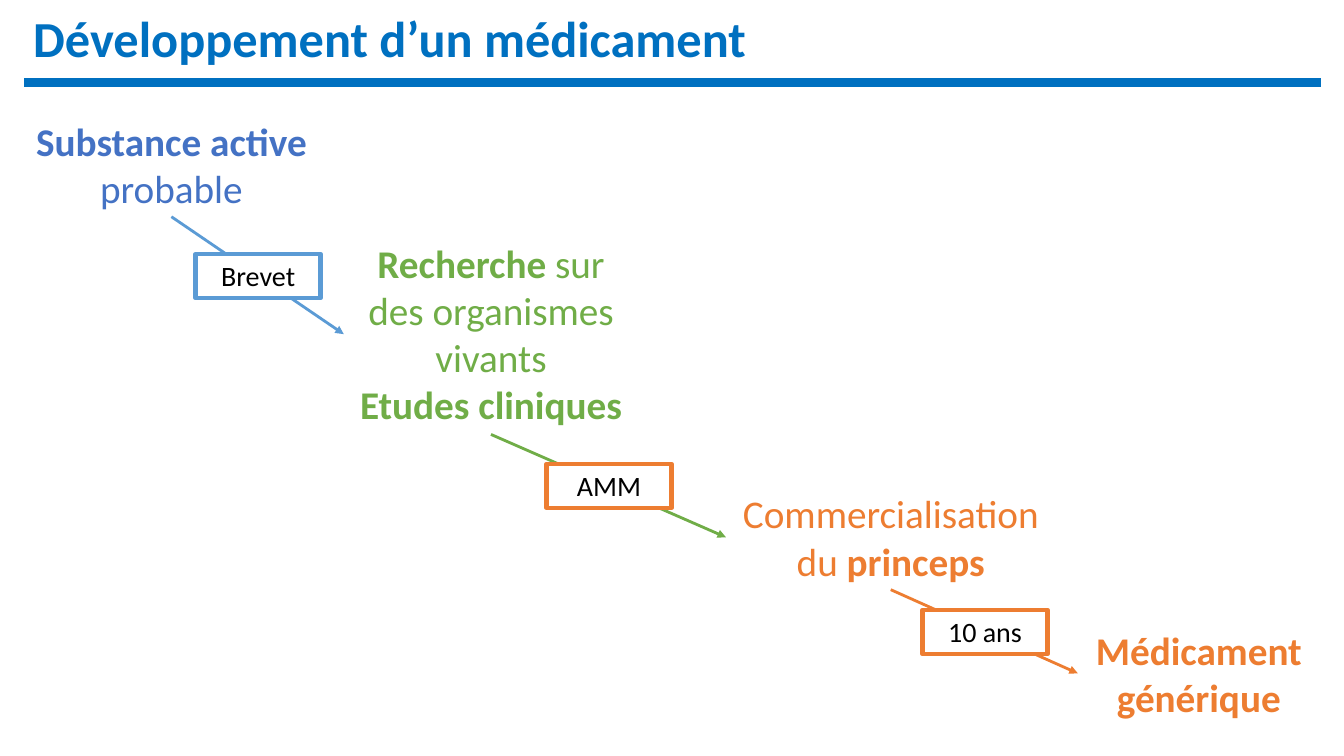
from lxml.etree import SubElement
from pptx import Presentation
from pptx.dml.color import RGBColor
from pptx.enum.shapes import MSO_CONNECTOR as Link, MSO_SHAPE as Shape
from pptx.enum.text import MSO_ANCHOR as Anchor, PP_ALIGN as Align
from pptx.oxml.ns import qn
from pptx.util import Inches, Pt

NAVY, BLUE, SKY = "0070C0", "4472C4", "5B9BD5"
GREEN, ORANGE = "70AD47", "ED7D31"
BLACK, WHITE = "000000", "FFFFFF"


def color(code):
    return RGBColor.from_string(code)


def write(frame, text, size=28, ink=BLACK, font="Calibri", align=Align.CENTER,
          anchor=Anchor.TOP, space=1.0, left=0.1):
    """Fill a text frame; parts between asterisks are bold."""
    frame.word_wrap = True
    frame.vertical_anchor = anchor
    frame.margin_left = Inches(left)
    for i, line in enumerate(text.split("\n")):
        para = frame.add_paragraph() if i else frame.paragraphs[0]
        para.alignment = align
        para.line_spacing = space
        for j, part in enumerate(line.split("*")):
            if part:
                run = para.add_run()
                run.text = part
                run.font.name = font
                run.font.size = Pt(size)
                run.font.bold = j % 2 == 1
                run.font.color.rgb = color(ink)


class Board:
    def __init__(self, deck):
        self.shapes = deck.slides.add_slide(deck.slide_layouts[6]).shapes

    def label(self, text, x, y, w, h, **form):
        box = self.shapes.add_textbox(*map(Inches, (x, y, w, h)))
        write(box.text_frame, text, **form)

    def line(self, start, end, ink, width=2, arrow=True):
        link = self.shapes.add_connector(
            Link.STRAIGHT, *map(Inches, (*start, *end)))
        link.line.color.rgb = color(ink)
        link.line.width = Pt(width)
        if arrow:
            SubElement(link.line._get_or_add_ln(), qn("a:tailEnd"),
                       type="triangle")
        SubElement(link._element.spPr, qn("a:effectLst"))

    def box(self, text, x, y, ink, w=1.24, h=0.44):
        rect = self.shapes.add_shape(
            Shape.RECTANGLE, *map(Inches, (x, y, w, h)))
        rect.shadow.inherit = False
        rect.fill.solid()
        rect.fill.fore_color.rgb = color(WHITE)
        rect.line.color.rgb = color(ink)
        rect.line.width = Pt(3)
        write(rect.text_frame, text, size=20)


def main():
    deck = Presentation()
    deck.slide_width, deck.slide_height = Inches(13.33), Inches(7.5)
    board = Board(deck)

    board.label("*Développement d’un médicament*", 0, 0, 13.33, 0.82,
                size=36, ink=NAVY, align=Align.LEFT, anchor=Anchor.MIDDLE,
                space=0.9, left=0.33)
    board.line((0.24, 0.82), (13.1, 0.82), NAVY, width=6, arrow=False)

    stages = [
        ("*Substance active* probable", 0.24, 1.11, 2.92, 1.04, BLUE),
        ("*Recherche* sur des organismes vivants\n*Etudes cliniques*",
         3.41, 2.32, 2.92, 1.99, GREEN),
        ("Commercialisation du *princeps*", 7.2, 4.81, 3.27, 1.04, ORANGE),
        ("*Médicament générique*", 10.69, 6.16, 2.4, 1.04, ORANGE),
    ]
    for text, x, y, w, h, ink in stages:
        board.label(text, x, y, w, h, ink=ink)

    # Each arrow runs from the foot of a stage to the left side of the next
    inks = [SKY, GREEN, ORANGE]
    for here, after, ink in zip(stages, stages[1:], inks):
        _, x, y, w, h, _ = here
        _, left, top, _, tall, _ = after
        board.line((x + w / 2, y + h), (left, top + tall / 2), ink)

    for text, x, y, ink in [("Brevet", 1.94, 2.52, SKY),
                            ("AMM", 5.42, 4.6, ORANGE),
                            ("10 ans", 9.15, 6.05, ORANGE)]:
        board.box(text, x, y, ink)

    deck.save("out.pptx")


if __name__ == "__main__":
    main()
